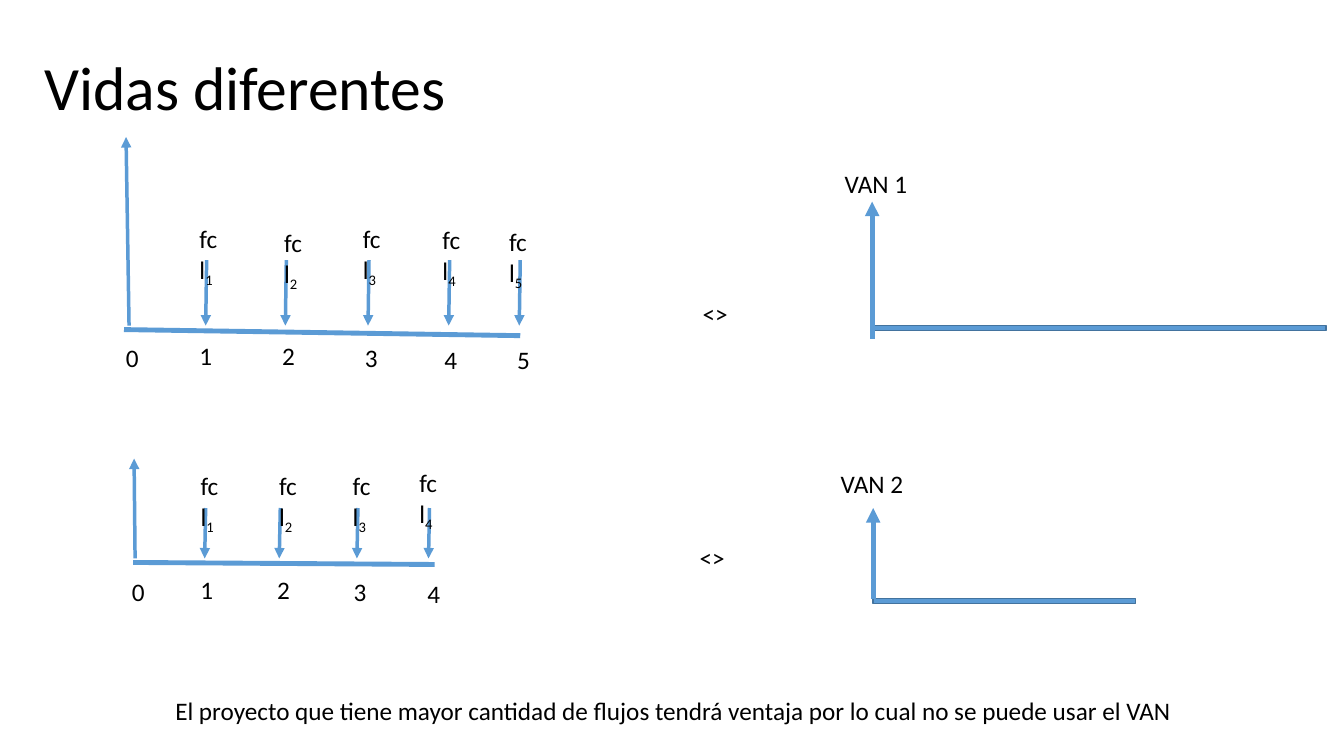
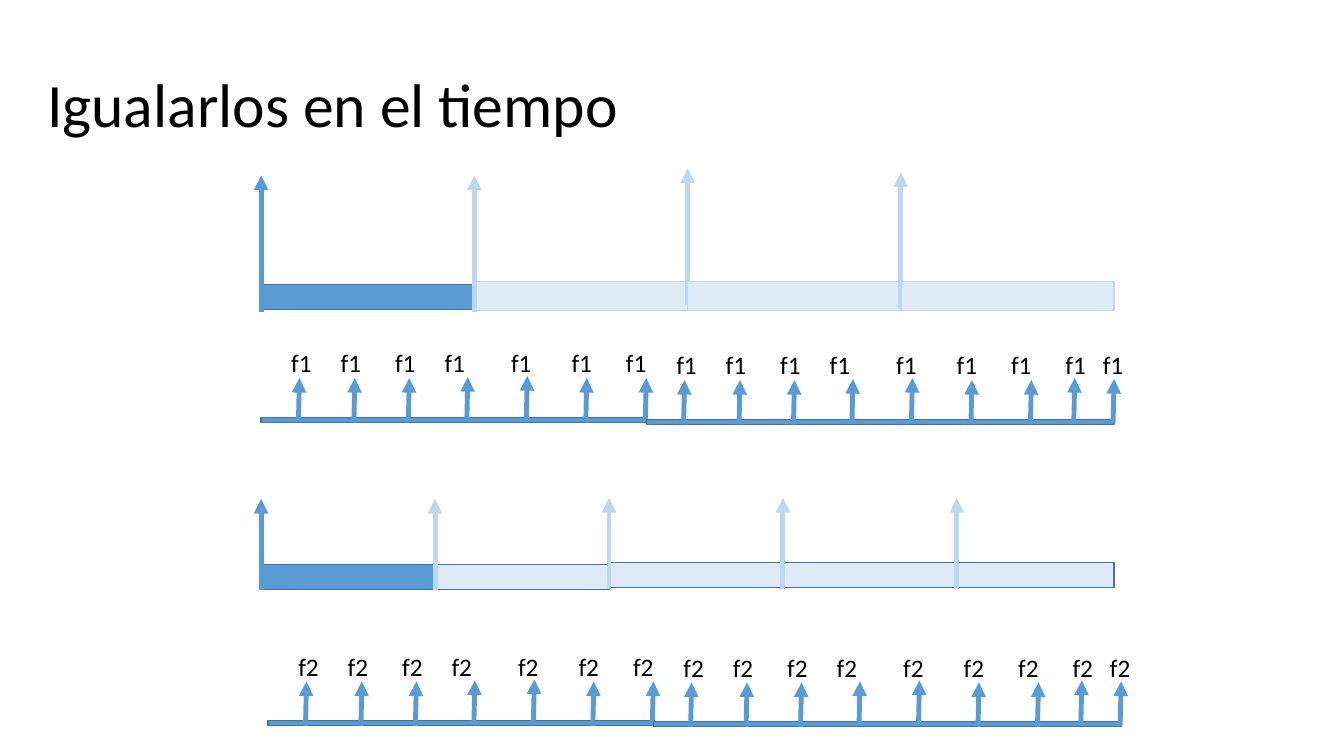
from itertools import accumulate

from lxml.etree import SubElement
from pptx import Presentation
from pptx.dml.color import RGBColor
from pptx.enum.shapes import MSO_CONNECTOR, MSO_SHAPE
from pptx.enum.text import MSO_ANCHOR
from pptx.oxml.ns import qn
from pptx.util import Inches, Pt

BLUE, BLUE_EDGE = "5B9BD5", "43739E"
PALE, PALE_EDGE = "DEEBF7", "BDD7EE"
BLACK = "000000"
BODY = {"name": "Calibri", "size": Pt(18)}
TITLE = {"name": "Calibri", "size": Pt(44)}
THIN, THICK = 2.5, 3.5
BAR_HEIGHT = 0.05

# Flow rows: arrow offsets from the bar start, and gaps between their labels
FLOW_X = [0.37, 0.92, 1.46, 2.04, 2.63, 3.22, 3.81, 4.24, 4.63]
FLOW_LIFT = [0, 0, 0, 0.01, 0.02, 0, 0, 0.02, 0.01]
LABEL_GAPS = [0.49, 0.54, 0.49, 0.66, 0.6, 0.54, 0.54, 0.37]


def color(hex_value):
    return RGBColor.from_string(hex_value)


def add_text(slide, left, top, width, text, height=0.4, style=BODY, subscript=""):
    box = slide.shapes.add_textbox(*map(Inches, (left, top, width, height)))
    box.text_frame.word_wrap = True
    paragraph = box.text_frame.paragraphs[0]
    for part in filter(None, (text, subscript)):
        run = paragraph.add_run()
        run.text = part
        for key, value in style.items():
            setattr(run.font, key, value)
        run.font.color.rgb = color(BLACK)
    if subscript:
        run._r.get_or_add_rPr().set("baseline", "-25000")
    return box.text_frame


def add_title(slide, left, top, text):
    frame = add_text(slide, left, top, 11.5, text, 1.45, TITLE)
    frame.vertical_anchor = MSO_ANCHOR.MIDDLE
    frame.paragraphs[0].line_spacing = 0.9


def add_bar(slide, left, top, width, height=BAR_HEIGHT, fill=BLUE, edge=BLUE_EDGE):
    bar = slide.shapes.add_shape(
        MSO_SHAPE.RECTANGLE, *map(Inches, (left, top, width, height)))
    bar.shadow.inherit = False
    bar.fill.solid()
    bar.fill.fore_color.rgb = color(fill)
    bar.line.color.rgb = color(edge)
    bar.line.width = Pt(1)


def add_line(slide, start, end, weight=THICK, stroke=BLUE):
    line = slide.shapes.add_connector(
        MSO_CONNECTOR.STRAIGHT, *map(Inches, (*start, *end)))
    line.line.color.rgb = color(stroke)
    line.line.width = Pt(weight)
    SubElement(line._element.spPr, qn("a:effectLst"))
    return line


def add_arrow(slide, start, end, weight=THICK, stroke=BLUE):
    arrow = add_line(slide, start, end, weight, stroke)
    SubElement(arrow.line._get_or_add_ln(), qn("a:tailEnd"), type="triangle")


def cash_flow_diagram(slide, left, top, axis, investment, flow, numbers, arrows, labels):
    """Draw a timeline; every offset counts from the start of its axis.

    flow holds the tops and bottoms of the flow arrows.
    """
    def at(point):
        return left + point[0], top + point[1]

    add_line(slide, (left, top), at(axis))
    add_arrow(slide, *map(at, investment), THIN)
    for arrow_x in arrows:
        add_arrow(slide, at((arrow_x, flow[0])), at((arrow_x - 0.01, flow[1])), THIN)
    for period, number in enumerate(numbers):
        add_text(slide, *at(number), 0.4, str(period), 0.3)
    for period, label in enumerate(labels, 1):
        add_text(slide, *at(label), 0.41, "fcl", 0.3, subscript=str(period))


def net_value_diagram(slide, name, left, top, width, arrow, label, sign):
    """Draw a value arrow on its life span; arrow is (x, bottom, height)."""
    arrow_x, bottom, height = arrow
    add_bar(slide, left, top, width)
    add_arrow(slide, (left + arrow_x, top + bottom), (left + arrow_x, top + bottom - height))
    add_text(slide, left + sign[0], top + sign[1], 0.6, "<>")
    add_text(slide, left + label[0], top + label[1], 1, name)


def repeated_project(slide, left, right, pitch, arrow_height, cycles, edge, first_covered):
    """Repeat a project in time; cycles are (bar top, bar height, arrow bottom).

    From cycle first_covered on, the bar lies over the foot of its arrow.
    """
    for index, (top, height, bottom) in enumerate(cycles):
        x = left + index * pitch
        width = min(pitch, right - x)
        fill, outline, stroke = (PALE, edge, PALE_EDGE) if index else (BLUE, BLUE_EDGE, BLUE)
        ends = (x, bottom), (x, bottom - arrow_height)
        if index >= first_covered:
            add_arrow(slide, *ends, stroke=stroke)
        add_bar(slide, x, top, width, height, fill, outline)
        if index < first_covered:
            add_arrow(slide, *ends, stroke=stroke)


def flow_row(slide, left, top, width, flow_name, count):
    add_bar(slide, left, top, width)
    for offset, lift in list(zip(FLOW_X, FLOW_LIFT))[:count]:
        x, bottom = left + offset, top + BAR_HEIGHT - lift
        add_arrow(slide, (x, bottom), (x + 0.01, bottom - 0.44))
    frame = add_text(slide, left + 0.2, top - 0.74, width + 0.3,
                     "\t".join([flow_name] * count))
    tab_stops = SubElement(frame.paragraphs[0]._p.get_or_add_pPr(), qn("a:tabLst"))
    for stop in accumulate(LABEL_GAPS[:count - 1]):
        SubElement(tab_stops, qn("a:tab"), pos=str(Inches(stop)), algn="l")


def different_lives(slide):
    add_title(slide, 0.34, 0.17, "Vidas diferentes")
    cash_flow_diagram(
        slide, 1.32, 5.58, axis=(2.99, 0.02),
        investment=[(0.02, -0.04), (0.01, -1.03)], flow=(-0.54, -0.04),
        numbers=[(-0.11, 0.09), (0.57, 0.07), (1.33, 0.07), (2.09, 0.09), (2.82, 0.11)],
        arrows=[0.72, 1.46, 2.23, 2.94],
        labels=[(0.57, -0.96), (1.35, -0.96), (2.08, -0.96), (2.74, -0.99)])
    cash_flow_diagram(
        slide, 1.23, 3.27, axis=(3.93, 0.06),
        investment=[(0.05, -0.04), (0.02, -1.91)], flow=(-0.69, -0.04),
        numbers=[(-0.08, 0.08), (0.65, 0.06), (1.47, 0.06),
                 (2.29, 0.08), (3.08, 0.1), (3.8, 0.1)],
        arrows=[0.82, 1.61, 2.43, 3.23, 3.93],
        labels=[(0.65, -1.1), (1.49, -1.06), (2.27, -1.1), (3.06, -1.09), (3.72, -1.07)])
    net_value_diagram(slide, "VAN 1", 8.66, 3.23, 4.49, arrow=(-0.01, 0.13, 1.36),
                      label=(-0.38, -1.61), sign=(-1.79, -0.32))
    net_value_diagram(slide, "VAN 2", 8.66, 5.94, 2.6, arrow=(0, 0, 0.9),
                      label=(-0.42, -1.34), sign=(-1.82, -0.61))
    add_text(slide, 1.64, 6.85, 10.4,
             "El proyecto que tiene mayor cantidad de flujos tendrá ventaja "
             "por lo cual no se puede usar el VAN")


def equal_lives(slide):
    add_title(slide, 0.37, 0.34, "Igualarlos en el tiempo")
    left, right = 2.59, 11.05
    repeated_project(
        slide, left, right, (right - left) / 4, 1.36,
        [(2.82, 0.25, 3.1), (2.79, 0.29, 3.1), (2.79, 0.29, 3.03), (2.79, 0.29, 3.07)],
        PALE_EDGE, first_covered=2)
    repeated_project(
        slide, left, right, 1.725, 0.9,
        [(5.6, 0.25, 5.85)] * 2 + [(5.58, 0.25, 5.84)] * 3,
        BLUE_EDGE, first_covered=5)
    for flow_name, start, top, drop in (("f1", left, 4.14, 0.02), ("f2", 2.66, 7.15, 0.01)):
        flow_row(slide, start, top, 3.81, flow_name, 7)
        flow_row(slide, start + 3.82, top + drop, 4.64, flow_name, 9)


def main():
    deck = Presentation()
    deck.slide_width, deck.slide_height = Inches(13.33), Inches(7.5)
    for build in (different_lives, equal_lives):
        build(deck.slides.add_slide(deck.slide_layouts[6]))
    deck.save("out.pptx")


if __name__ == "__main__":
    main()
